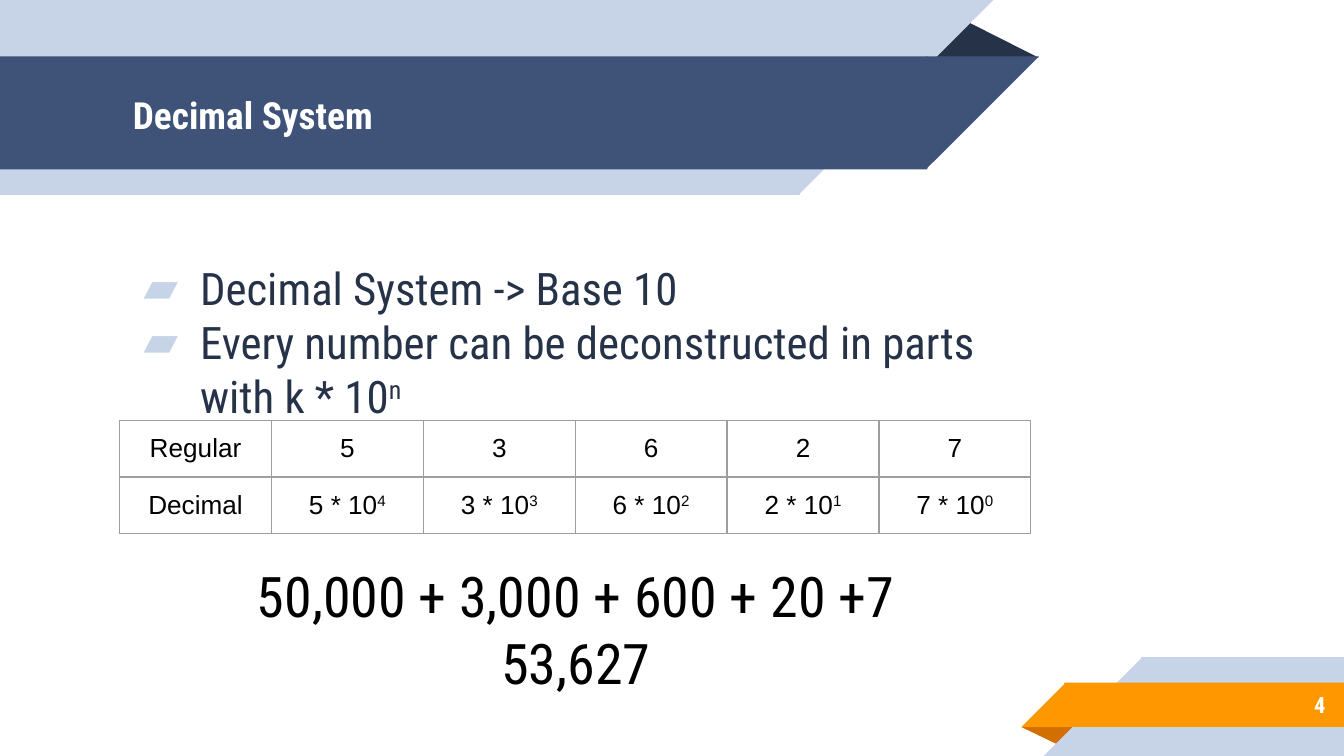
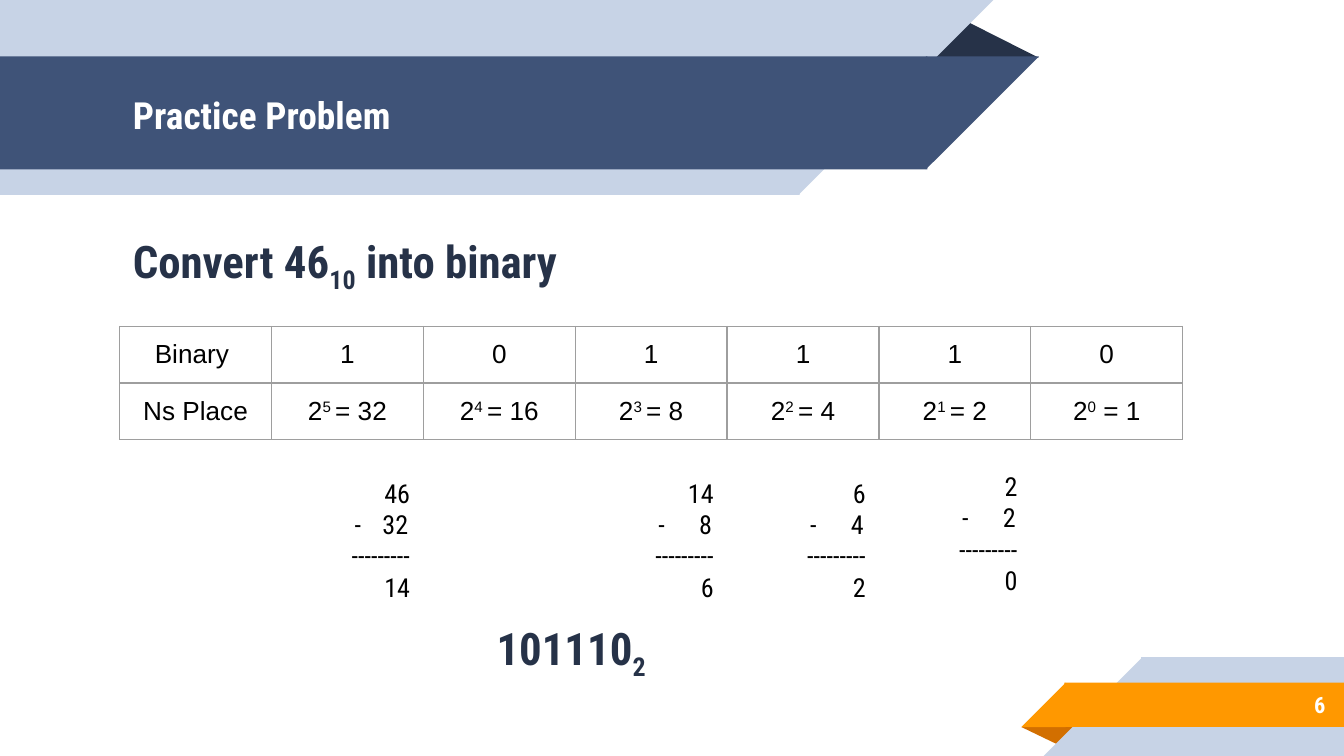
from dataclasses import dataclass

from lxml import etree
from pptx import Presentation
from pptx.dml.color import RGBColor as Rgb
from pptx.enum.shapes import MSO_SHAPE as Shape
from pptx.enum.text import MSO_ANCHOR as Anchor, PP_ALIGN as Align
from pptx.oxml import parse_xml
from pptx.oxml.ns import nsdecls, qn
from pptx.util import Inches, Pt


@dataclass(frozen=True)
class Theme:
    face: str = "Roboto Condensed"
    grid: str = "Arial"
    pale: str = "C7D3E6"
    blue: str = "3F5378"
    navy: str = "263248"
    gold: str = "FF9800"
    rust: str = "D26F00"
    white: str = "FFFFFF"
    black: str = "000000"
    rule: str = "9E9E9E"
    title: int = 20
    body: int = 24
    sum: int = 30
    small: int = 14
    page: int = 12


T = Theme()
WIDE = 10
HIGH = WIDE * 9 / 16
LEFT, COL, ROW = 0.89, 1.13, 0.42
LAP = 0.01


def write(para, text, size, color, face=T.face, bold=False, align=Align.LEFT, shift=30):
    """Fill a paragraph; every second part between bars is raised or lowered by shift."""
    para.alignment = align
    font = para.font
    font.name, font.size, font.bold = face, Pt(size), bold
    font.color.rgb = Rgb.from_string(color)
    for i, part in enumerate(text.split("|")):
        run = para.add_run()
        run.text = part
        if i % 2:
            run._r.get_or_add_rPr().set("baseline", str(shift * 1000))


def place(slide, area, lines, size, color, anchor=Anchor.TOP, top=0.1, **style):
    """Add a text box with one paragraph per line and return its paragraphs."""
    frame = slide.shapes.add_textbox(*map(Inches, area)).text_frame
    frame.word_wrap = True
    frame.vertical_anchor = anchor
    frame.margin_left = frame.margin_right = frame.margin_bottom = Inches(0.1)
    frame.margin_top = Inches(top)
    for i, line in enumerate(lines):
        para = frame.add_paragraph() if i else frame.paragraphs[0]
        write(para, line, size, color, **style)
    return frame.paragraphs


# Slanted bands: a rectangle and a square corner each, with a fold behind
parts = [(Shape.ISOSCELES_TRIANGLE, 7.6, 5.41, 0.43, 0.14, 180, T.rust)]
for x, y, h, color in [(8.5, 4.89, HIGH - 4.89, T.pale), (7.93, 5.08, 0.33, T.gold)]:
    parts += [(Shape.RECTANGLE, x - LAP, y, WIDE - x + LAP, h, 0, color),
              (Shape.RIGHT_TRIANGLE, x - h, y, h, h, 0, color)]
parts.append((Shape.ISOSCELES_TRIANGLE, 6.88, 0.14, 0.85, 0.28 + LAP, 0, T.navy))
for w, y, h, color in [(5.94, 0, 1.45, T.pale), (6.89, 0.42, 0.84, T.blue)]:
    parts += [(Shape.RECTANGLE, 0, y, w + LAP, h, 180, color),
              (Shape.RIGHT_TRIANGLE, w, y, h, h, 180, color)]

pages = [
    ("Decimal System", "4", 3.13, [
        ["Regular", "5", "3", "6", "2", "7"],
        ["Decimal", "5 * 10|4", "3 * 10|3", "6 * 10|2", "2 * 10|1", "7 * 10|0"]]),
    ("Practice Problem", "6", 2.43, [
        ["Binary ", "1", "0", "1", "1", "1", "0"],
        ["Ns Place", "2|5 |= 32", "2|4 |= 16", "2|3 |= 8", "2|2 |= 4",
         "2|1 |= 2", "2|0| = 1"]]),
]

deck = Presentation()
deck.slide_width, deck.slide_height = Inches(WIDE), Inches(HIGH)
slides = []
for title, number, top, rows in pages:
    slide = deck.slides.add_slide(deck.slide_layouts[6])
    slides.append(slide)
    for kind, x, y, w, h, turn, color in parts:
        part = slide.shapes.add_shape(kind, *map(Inches, (x, y, w, h)))
        part.shadow.inherit = False
        part.fill.solid()
        part.fill.fore_color.rgb = Rgb.from_string(color)
        part.line.fill.background()
        part.rotation = turn
        if kind == Shape.ISOSCELES_TRIANGLE:
            part.adjustments[0] = 0.324
        else:
            part._element.spPr.find(qn("a:xfrm")).set("flipH", "1")
    place(slide, (LEFT, 0.43, 6.01, 0.84), [title], T.title, T.white,
          anchor=Anchor.MIDDLE, bold=True)
    place(slide, (8.33, 5.07, 1.63, 0.35), [number], T.page, T.white,
          anchor=Anchor.MIDDLE, bold=True, align=Align.RIGHT)

    count = len(rows[0])
    area = (LEFT, top, COL * count, ROW * len(rows))
    table = slide.shapes.add_table(len(rows), count, *map(Inches, area)).table
    table.first_row = table.horz_banding = False
    for col in table.columns:
        col.width = Inches(COL)
    for r, row in enumerate(rows):
        table.rows[r].height = Inches(ROW)
        for c, text in enumerate(row):
            cell = table.cell(r, c)
            cell.margin_left = cell.margin_right = cell.margin_top = Inches(0.1)
            cell.margin_bottom = Inches(0.08)
            write(cell.text_frame.paragraphs[0], text, T.small, T.black,
                  face=T.grid, align=Align.CENTER)
            props = cell._tc.get_or_add_tcPr()
            for side in ("lnL", "lnR", "lnT", "lnB"):
                edge = etree.SubElement(props, qn(f"a:{side}"), w=str(Pt(0.75)))
                fill = etree.SubElement(edge, qn("a:solidFill"))
                etree.SubElement(fill, qn("a:srgbClr"), val=T.rule)
            cell.fill.background()

decimal, practice = slides

# Decimal System
points = place(decimal, (LEFT, 1.27, 6.92, 2.95),
               ["Decimal System -> Base 10",
                "Every number can be deconstructed in parts with k * 10|n"],
               T.body, T.navy, top=0.67)
for para in points:
    props = para._p.get_or_add_pPr()
    props.set("marL", str(Inches(0.5)))
    props.set("indent", str(Inches(-0.42)))
    marks = [f'<a:buClr {nsdecls("a")}><a:srgbClr val="{T.pale}"/></a:buClr>',
             f'<a:buFont {nsdecls("a")} typeface="{T.face}"/>',
             f'<a:buChar {nsdecls("a")} char="▰"/>']
    for i, mark in enumerate(marks):
        props.insert(i, parse_xml(mark))
place(decimal, (LEFT, 4.08, 6.79, 0.72), ["50,000 + 3,000 + 600 + 20 +7", "53,627"],
      T.sum, T.black, align=Align.CENTER)

# Practice Problem
place(practice, (LEFT, 1.53, 6.71, 0.74), ["Convert 46|10| into binary"],
      T.body, T.navy, top=0.21, bold=True, shift=-25)
for col, top, start, less in [(1, 3.45, 46, 32), (3, 3.45, 14, 8),
                              (4, 3.45, 6, 4), (5, 3.4, 2, 2)]:
    lines = [str(start), f"\t-\t{less}", "-" * 9, str(start - less)]
    paras = place(practice, (LEFT + COL * col, top, COL, 1.12), lines,
                  T.small, T.black, align=Align.RIGHT)
    paras[1].alignment = Align.LEFT
    paras[1]._p.get_or_add_pPr().insert(0, parse_xml(
        f'<a:tabLst {nsdecls("a")}><a:tab pos="{Inches(0.52)}" algn="l"/>'
        f'<a:tab pos="{Inches(0.92)}" algn="r"/></a:tabLst>'))
place(practice, (2.48, 4.52, 3.54, 0.57), ["101110|2"], T.body, T.navy,
      bold=True, align=Align.CENTER, shift=-25)

deck.save("out.pptx")
